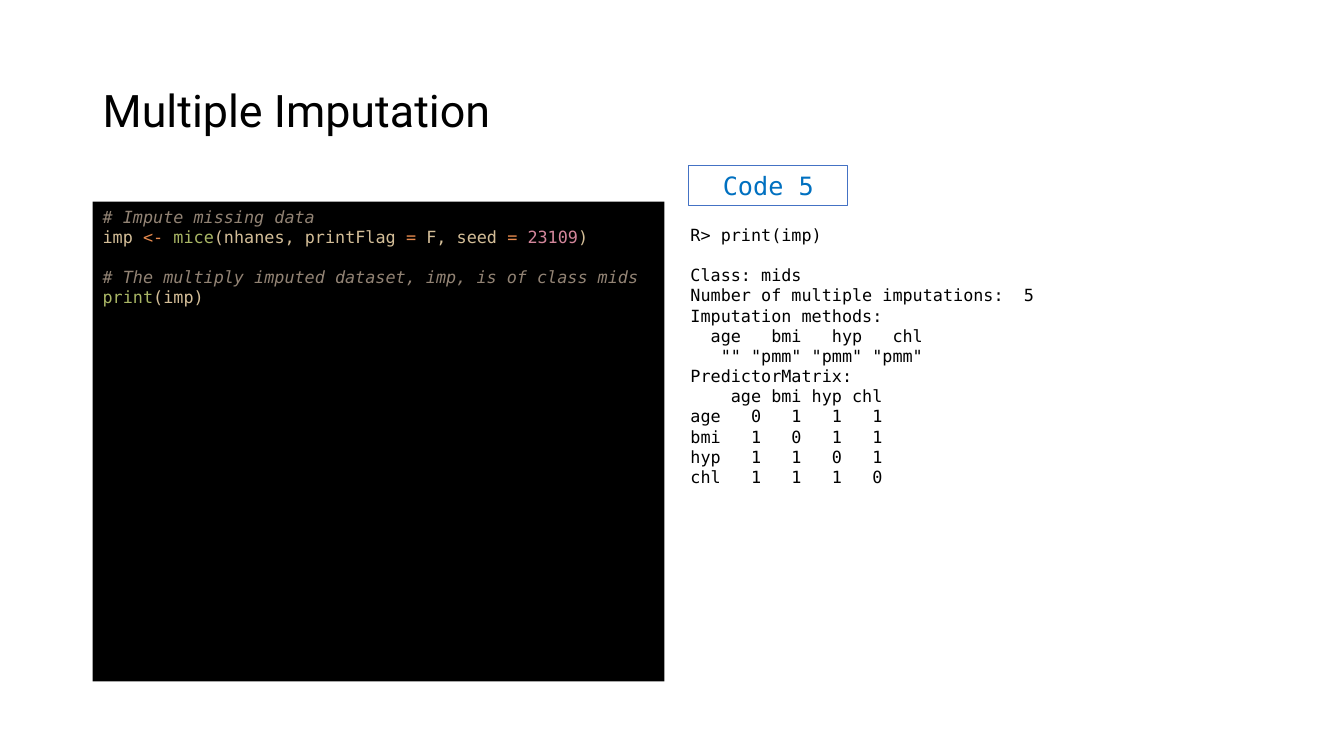
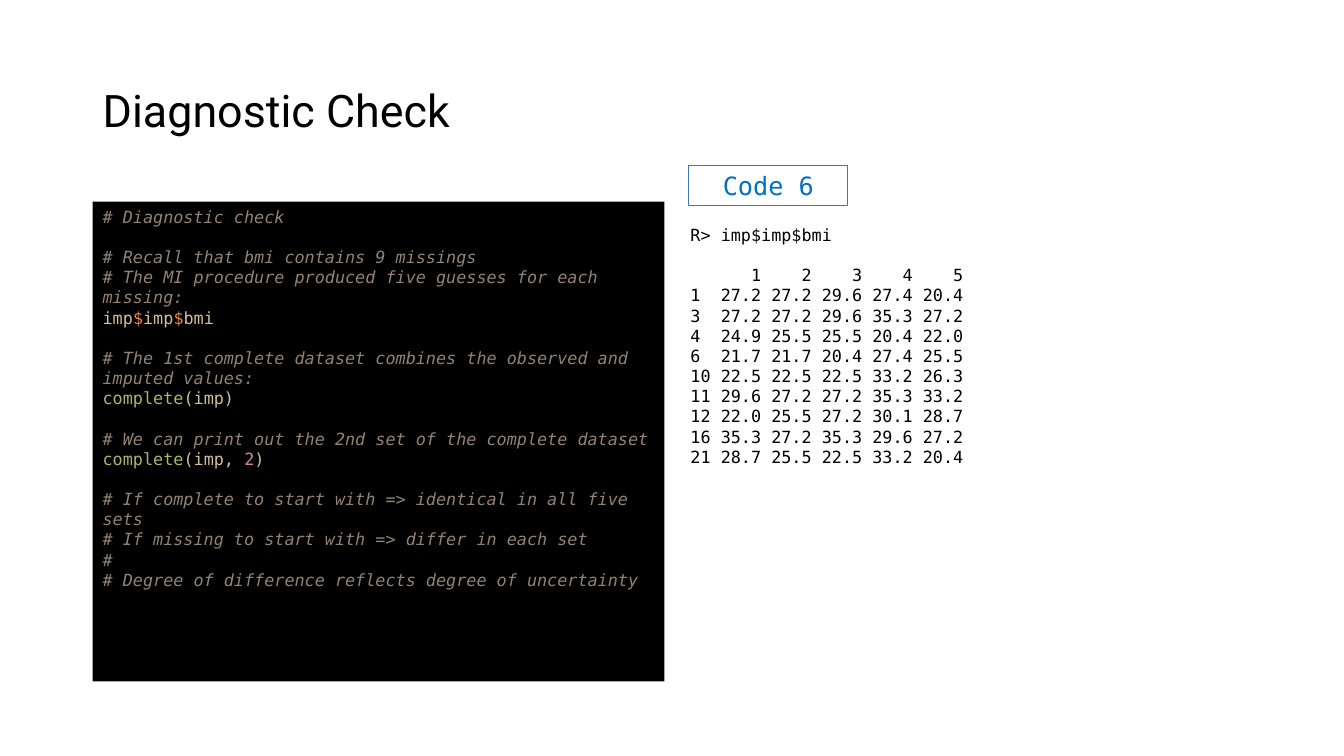
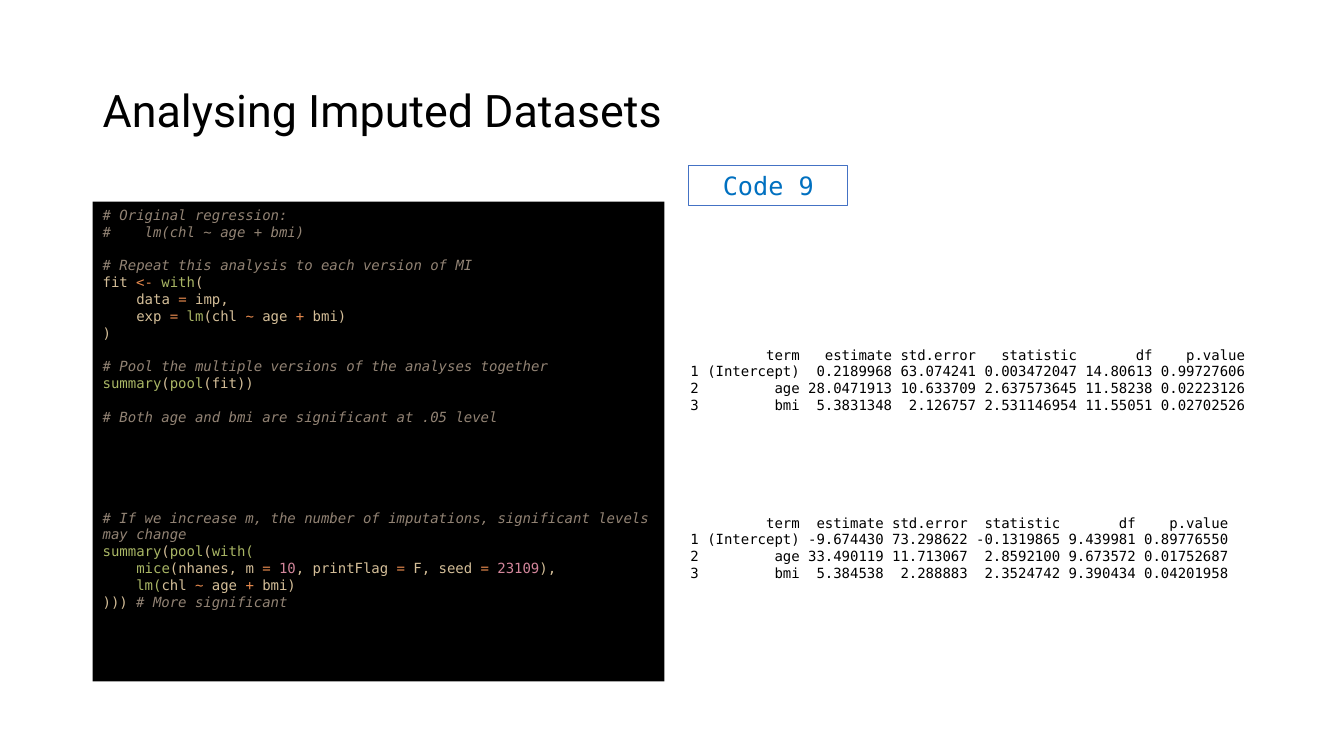
"""Three slides on multiple imputation in R: code on the left, console output on the right."""
from dataclasses import dataclass
from functools import partial
from typing import NamedTuple

from pptx import Presentation
from pptx import util as u
from pptx.dml.color import RGBColor
from pptx.enum import shapes, text

MONO, SANS = "DejaVu Sans Mono", "Roboto"
BLACK, BLUE, FRAME = "000000", "0070C0", "4472C4"
CHAR_WIDTH = 0.602  # advance of one monospaced character, in ems
LINE_HEIGHT = 1.2  # height of one line, in ems
INSET = 0.05  # default top inset of a text frame, in inches


class Box(NamedTuple):
    """Left, top, width and height in inches."""
    left: float
    top: float
    width: float
    height: float


class Run(NamedTuple):
    """A piece of text in one style."""
    text: str
    color: str = BLACK
    italic: bool = False


class Line(NamedTuple):
    """A line of code or output; gap counts empty lines above, indent counts characters."""
    runs: list[Run]
    gap: int = 0
    indent: int = 0


@dataclass
class Page:
    """The content of one slide."""
    title: str
    label: str
    code: list[Line]
    output: list[Line]
    size: int = 12
    output_box: Box = Box(6.75, 2.18, 5.67, 4.76)


TITLE_BOX = Box(0.92, 0.4, 11.5, 1.45)
LABEL_BOX = Box(6.83, 1.64, 1.58, 0.4)
CODE_BOX = Box(0.92, 2, 5.67, 4.76)

note = partial(Run, color="928374", italic=True)
plain = partial(Run, color="D4BE98")
op = partial(Run, color="E78A4E")
call = partial(Run, color="A9B665")
num = partial(Run, color="D3869B")


def code(*runs: Run, gap: int = 0, indent: int = 0) -> Line:
    """Make a line of code."""
    return Line(list(runs), gap, indent)


def comment(words: str, gap: int = 0) -> Line:
    """Make a comment line."""
    return Line([note(words)], gap)


def say(words: str, gap: int = 0) -> Line:
    """Make a plain line of output."""
    return Line([Run(words)], gap)


def grid(ends: tuple[int, ...], *rows: str, gap: int = 0) -> list[Line]:
    """Print rows as a console does, each column right-aligned at its end character."""
    lines = []
    for i, row in enumerate(rows):
        cells = row.split()
        printed = cells.pop(0) if len(cells) > len(ends) else ""
        for cell, end in zip(cells, ends):
            printed += cell.rjust(end - len(printed))
        lines.append(say(printed, 0 if i else gap))
    return lines


def rgb(color: str) -> RGBColor:
    """Turn a hex string into a colour."""
    return RGBColor.from_string(color)


def place(box: Box) -> tuple[u.Length, ...]:
    """Convert a box to lengths."""
    return tuple(u.Inches(v) for v in box)


def add_run(p, run: Run, size: float, font: str = MONO) -> None:
    """Append a styled run to a paragraph."""
    r = p.add_run()
    r.text = run.text
    r.font.name, r.font.size, r.font.italic = font, u.Pt(size), run.italic
    r.font.color.rgb = rgb(run.color)


def add_rect(s, box: Box, fill: str | None = None, line: str | None = None):
    """Draw a rectangle whose text starts at the top."""
    sp = s.shapes.add_shape(shapes.MSO_SHAPE.RECTANGLE, *place(box))
    sp.shadow.inherit = False
    if fill:
        sp.fill.solid()
        sp.fill.fore_color.rgb = rgb(fill)
    else:
        sp.fill.background()
    if line:
        sp.line.color.rgb = rgb(line)
        sp.line.width = u.Pt(0.75)
    else:
        sp.line.fill.background()
    sp.text_frame.vertical_anchor = text.MSO_ANCHOR.TOP
    return sp


def write_lines(sp, lines: list[Line], size: float) -> None:
    """Fill a shape with monospaced lines."""
    tf = sp.text_frame
    tf.word_wrap = True
    pitch = size * LINE_HEIGHT
    tf.margin_top = u.Inches(INSET) + u.Pt(lines[0].gap * pitch)
    for i, line in enumerate(lines):
        p = tf.add_paragraph() if i else tf.paragraphs[0]
        p.alignment = text.PP_ALIGN.LEFT
        if i and line.gap:
            p.space_before = u.Pt(line.gap * pitch)
        if line.indent:
            p._p.get_or_add_pPr().set("marL", str(u.Pt(line.indent * size * CHAR_WIDTH)))
        for run in line.runs:
            add_run(p, run, size)


def add_title(s, words: str) -> None:
    """Write the slide title."""
    tf = s.shapes.add_textbox(*place(TITLE_BOX)).text_frame
    tf.word_wrap = True
    tf.vertical_anchor = text.MSO_ANCHOR.MIDDLE
    p = tf.paragraphs[0]
    p.line_spacing = 0.9
    add_run(p, Run(words), 32, SANS)


def add_label(s, words: str) -> None:
    """Draw the framed code number."""
    tf = add_rect(s, LABEL_BOX, line=FRAME).text_frame
    tf.word_wrap = True
    tf.auto_size = text.MSO_AUTO_SIZE.SHAPE_TO_FIT_TEXT
    p = tf.paragraphs[0]
    p.alignment = text.PP_ALIGN.CENTER
    add_run(p, Run(words, BLUE), 18)


def add_page(prs, page: Page) -> None:
    """Build one slide."""
    s = prs.slides.add_slide(prs.slide_layouts[6])
    add_title(s, page.title)
    add_label(s, page.label)
    write_lines(add_rect(s, CODE_BOX, fill=BLACK), page.code, page.size)
    write_lines(s.shapes.add_textbox(*place(page.output_box)), page.output, page.size)


IMPUTATION = Page(
    "Multiple Imputation", "Code 5",
    code=[
        comment("# Impute missing data"),
        code(plain("imp "), op("<- "), call("mice"), plain("(nhanes, printFlag "), op("= "),
             plain("F, seed "), op("= "), num("23109"), plain(")")),
        comment("# The multiply imputed dataset, imp, is of class mids", gap=1),
        code(call("print"), plain("(imp)")),
    ],
    output=[
        say("R> print(imp)"),
        say("Class: mids", gap=1),
        say("Number of multiple imputations:  5"),
        say("Imputation methods:"),
        *grid((5, 11, 17, 23), "age bmi hyp chl", '"" "pmm" "pmm" "pmm"'),
        say("PredictorMatrix:"),
        *grid((7, 11, 15, 19),
              "age bmi hyp chl",
              "age 0 1 1 1",
              "bmi 1 0 1 1",
              "hyp 1 1 0 1",
              "chl 1 1 1 0"),
    ],
)

DIAGNOSTIC = Page(
    "Diagnostic Check", "Code 6",
    code=[
        comment("# Diagnostic check"),
        comment("# Recall that bmi contains 9 missings", gap=1),
        comment("# The MI procedure produced five guesses for each missing:"),
        code(plain("imp"), op("$"), plain("imp"), op("$"), plain("bmi")),
        comment("# The 1st complete dataset combines the observed and imputed values:", gap=1),
        code(call("complete"), plain("(imp)")),
        comment("# We can print out the 2nd set of the complete dataset", gap=1),
        code(call("complete"), plain("(imp, "), num("2"), plain(")")),
        comment("# If complete to start with => identical in all five sets", gap=1),
        comment("# If missing to start with => differ in each set"),
        comment("#"),
        comment("# Degree of difference reflects degree of uncertainty"),
    ],
    output=[
        say("R> imp$imp$bmi"),
        *grid((7, 12, 17, 22, 27),
              "1 2 3 4 5",
              "1 27.2 27.2 29.6 27.4 20.4",
              "3 27.2 27.2 29.6 35.3 27.2",
              "4 24.9 25.5 25.5 20.4 22.0",
              "6 21.7 21.7 20.4 27.4 25.5",
              "10 22.5 22.5 22.5 33.2 26.3",
              "11 29.6 27.2 27.2 35.3 33.2",
              "12 22.0 25.5 27.2 30.1 28.7",
              "16 35.3 27.2 35.3 29.6 27.2",
              "21 28.7 25.5 22.5 33.2 20.4", gap=1),
    ],
)

ANALYSIS = Page(
    "Analysing Imputed Datasets", "Code 9", size=10,
    output_box=Box(6.75, 2.05, 5.89, 4.76),
    code=[
        comment("# Original regression:"),
        comment("#    lm(chl ~ age + bmi)"),
        comment("# Repeat this analysis to each version of MI", gap=1),
        code(plain("fit "), op("<- "), call("with"), plain("(")),
        code(plain("data "), op("="), plain(" imp,"), indent=4),
        code(plain("exp "), op("= "), call("lm"), plain("(chl "), op("~"), plain(" age "),
             op("+ "), plain("bmi)"), indent=4),
        code(plain(")")),
        comment("# Pool the multiple versions of the analyses together", gap=1),
        code(call("summary"), plain("("), call("pool"), plain("(fit))")),
        comment("# Both age and bmi are significant at .05 level", gap=1),
        comment("# If we increase m, the number of imputations, significant levels may change",
                gap=5),
        code(call("summary"), plain("("), call("pool"), plain("("), call("with(")),
        code(call("mice"), plain("(nhanes, m "), op("= "), num("10"), plain(", printFlag "),
             op("= "), plain("F, seed "), op("= "), num("23109"), plain("),"), indent=4),
        code(call("lm("), plain("chl "), op("~ "), plain("age "), op("+ "), plain("bmi)"),
             indent=4),
        code(plain("))) "), note("# More significant")),
    ],
    output=[
        *grid((13, 24, 34, 46, 55, 66),
              "term estimate std.error statistic df p.value",
              "1 (Intercept) 0.2189968 63.074241 0.003472047 14.80613 0.99727606",
              "2 age 28.0471913 10.633709 2.637573645 11.58238 0.02223126",
              "3 bmi 5.3831348 2.126757 2.531146954 11.55051 0.02702526", gap=8),
        *grid((13, 23, 33, 44, 53, 64),
              "term estimate std.error statistic df p.value",
              "1 (Intercept) -9.674430 73.298622 -0.1319865 9.439981 0.89776550",
              "2 age 33.490119 11.713067 2.8592100 9.673572 0.01752687",
              "3 bmi 5.384538 2.288883 2.3524742 9.390434 0.04201958", gap=6),
    ],
)


def main() -> None:
    """Build and save the presentation."""
    prs = Presentation()
    prs.slide_width, prs.slide_height = u.Inches(13.33), u.Inches(7.5)
    for page in (IMPUTATION, DIAGNOSTIC, ANALYSIS):
        add_page(prs, page)
    prs.save("out.pptx")


main()
